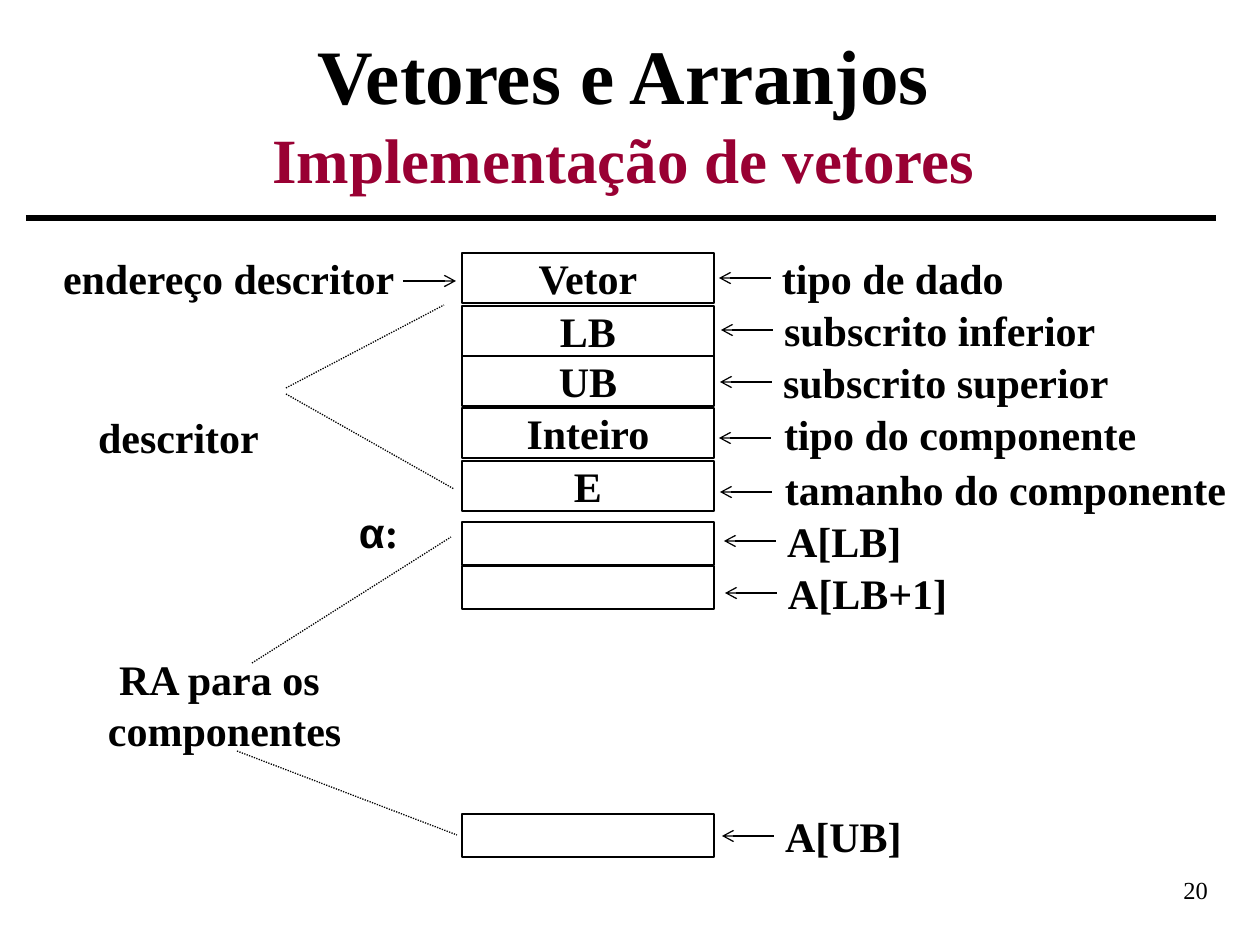
from lxml import etree
from pptx import Presentation
from pptx.dml.color import RGBColor
from pptx.enum.dml import MSO_LINE
from pptx.enum.shapes import MSO_CONNECTOR, MSO_SHAPE
from pptx.enum.text import MSO_ANCHOR, MSO_AUTO_SIZE, PP_ALIGN
from pptx.oxml.ns import qn
from pptx.util import Emu, Pt

BLACK = RGBColor(0x00, 0x00, 0x00)
WINE = RGBColor(0x99, 0x00, 0x33)
SERIF = "Times New Roman"
SANS = "Arial"
LEFT, CENTER, RIGHT = PP_ALIGN.LEFT, PP_ALIGN.CENTER, PP_ALIGN.RIGHT
TOP, MIDDLE, BOTTOM = MSO_ANCHOR.TOP, MSO_ANCHOR.MIDDLE, MSO_ANCHOR.BOTTOM
DOTTED = MSO_LINE.ROUND_DOT
NO_FIT = MSO_AUTO_SIZE.NONE
STRAIGHT = MSO_CONNECTOR.STRAIGHT
RECTANGLE = MSO_SHAPE.RECTANGLE

SCALE = 914400 / 126
WIDTH, HEIGHT = 1260, 945
CELL_X, CELL_W = 462, 252
LABEL_H = 50
ARROW = 52
INDENT = 11


def px(n):
    """Turn whole pixels into EMU."""
    return Emu(round(n * SCALE))


class Deck:
    """Hold the style and the current slide."""

    def __init__(self):
        self.prs = Presentation()
        self.prs.slide_width, self.prs.slide_height = px(WIDTH), px(HEIGHT)
        self.s = self.prs.slides.add_slide(self.prs.slide_layouts[5])

    def run(self, p, text, size=24, color=BLACK, font=SERIF, bold=True):
        """Add one formatted run."""
        r = p.add_run()
        r.text = text
        r.font.name, r.font.size, r.font.bold = font, Pt(size), bold
        r.font.color.rgb = color

    def frame(self, sp, align, anchor=TOP, inset=(0, 0), wrap=True):
        """Prepare a text frame and return its first paragraph."""
        tf = sp.text_frame
        tf.word_wrap, tf.auto_size, tf.vertical_anchor = wrap, NO_FIT, anchor
        tf.margin_left = tf.margin_right = px(inset[0])
        tf.margin_top = tf.margin_bottom = px(inset[1])
        p = tf.paragraphs[0]
        p.alignment = align
        return p

    def title(self, x, y, w, h, head, sub):
        """Fill the title placeholder with a heading and a subheading."""
        sp = self.s.shapes.title
        sp.left, sp.top, sp.width, sp.height = map(px, (x, y, w, h))
        p = self.frame(sp, CENTER, MIDDLE, (13, 6))
        self.run(p, head, 44)
        p.add_line_break()
        self.run(p, sub, 36, WINE)

    def text(self, x, y, w, h, runs, align=LEFT, indent=0, **layout):
        """Add a text box made of runs."""
        sp = self.s.shapes.add_textbox(*map(px, (x, y, w, h)))
        p = self.frame(sp, align, **layout)
        if indent:
            p._p.get_or_add_pPr().set("indent", str(px(indent)))
        for text, style in runs:
            self.run(p, text, **style)
        return sp

    def cell(self, y, h, text=""):
        """Add one memory cell."""
        sp = self.s.shapes.add_shape(RECTANGLE, *map(px, (CELL_X, y, CELL_W, h)))
        sp.shadow.inherit = False
        sp.fill.background()
        sp.line.color.rgb, sp.line.width = BLACK, Pt(0.75)
        if text:
            self.run(self.frame(sp, CENTER), text)

    def line(self, x1, y1, x2, y2, width=0.75, dash=None, arrow=False):
        """Add a straight line, dashed or with an arrowhead if asked."""
        c = self.s.shapes.add_connector(STRAIGHT, *map(px, (x1, y1, x2, y2)))
        c.line.color.rgb, c.line.width = BLACK, Pt(width)
        if dash:
            c.line.dash_style = dash
        if arrow:
            etree.SubElement(c.line._get_or_add_ln(), qn("a:tailEnd"), type="arrow")
        etree.SubElement(c._element.spPr, qn("a:effectLst"))
        return c

    def label(self, x, y, w, text, drop=0):
        """Add a label with an arrow to its cell, joined unless it is dropped."""
        sp = self.text(x, y, w, LABEL_H, [(text, {})], indent=INDENT)
        mid = y + LABEL_H // 2 + drop
        start = x - 2 if drop else x
        c = self.line(start, mid, start - ARROW, mid, arrow=True)
        if not drop:
            c.begin_connect(sp, 1)


def main():
    """Build the slide about array implementation."""
    deck = Deck()
    deck.line(26, 218, 1216, 218, width=3)
    deck.title(28, 13, 1191, 198, "Vetores e Arranjos", "Implementação de vetores")

    for y, name in ((253, "Vetor"), (306, "LB"), (356, "UB"), (408, "Inteiro"), (461, "E")):
        deck.cell(y, 50, name)
    for y in (522, 566, 814):
        deck.cell(y, 43)

    for label in (
        (771, 253, 346, "tipo de dado"),
        (773, 305, 346, "subscrito inferior"),
        (772, 357, 346, "subscrito superior"),
        (773, 409, 382, "tipo do componente", 4),
        (774, 464, 476, "tamanho do componente", 3),
        (776, 516, 346, "A[LB]"),
        (777, 568, 346, "A[LB+1]"),
        (774, 811, 346, "A[UB]"),
    ):
        deck.label(*label)

    deck.text(63, 253, 336, 50, [("endereço descritor", {})])
    deck.line(403, 281, 456, 281, arrow=True)
    deck.text(93, 365, 171, 97, [("descritor", {})], CENTER, anchor=BOTTOM)
    deck.text(108, 654, 273, 101, [("RA para os componentes", {})], indent=INDENT)
    deck.text(346, 501, 66, 63, [("α", {"font": SANS}), (":", {})],
              inset=(13, 6), wrap=False)
    for ends in ((286, 388, 444, 305), (286, 394, 454, 489),
                 (252, 663, 451, 537), (237, 751, 457, 835)):
        deck.line(*ends, dash=DOTTED)

    deck.text(1147, 869, 74, 59, [("20", {"size": 14, "bold": False})], RIGHT, inset=(13, 6))
    deck.prs.save("out.pptx")


if __name__ == "__main__":
    main()
